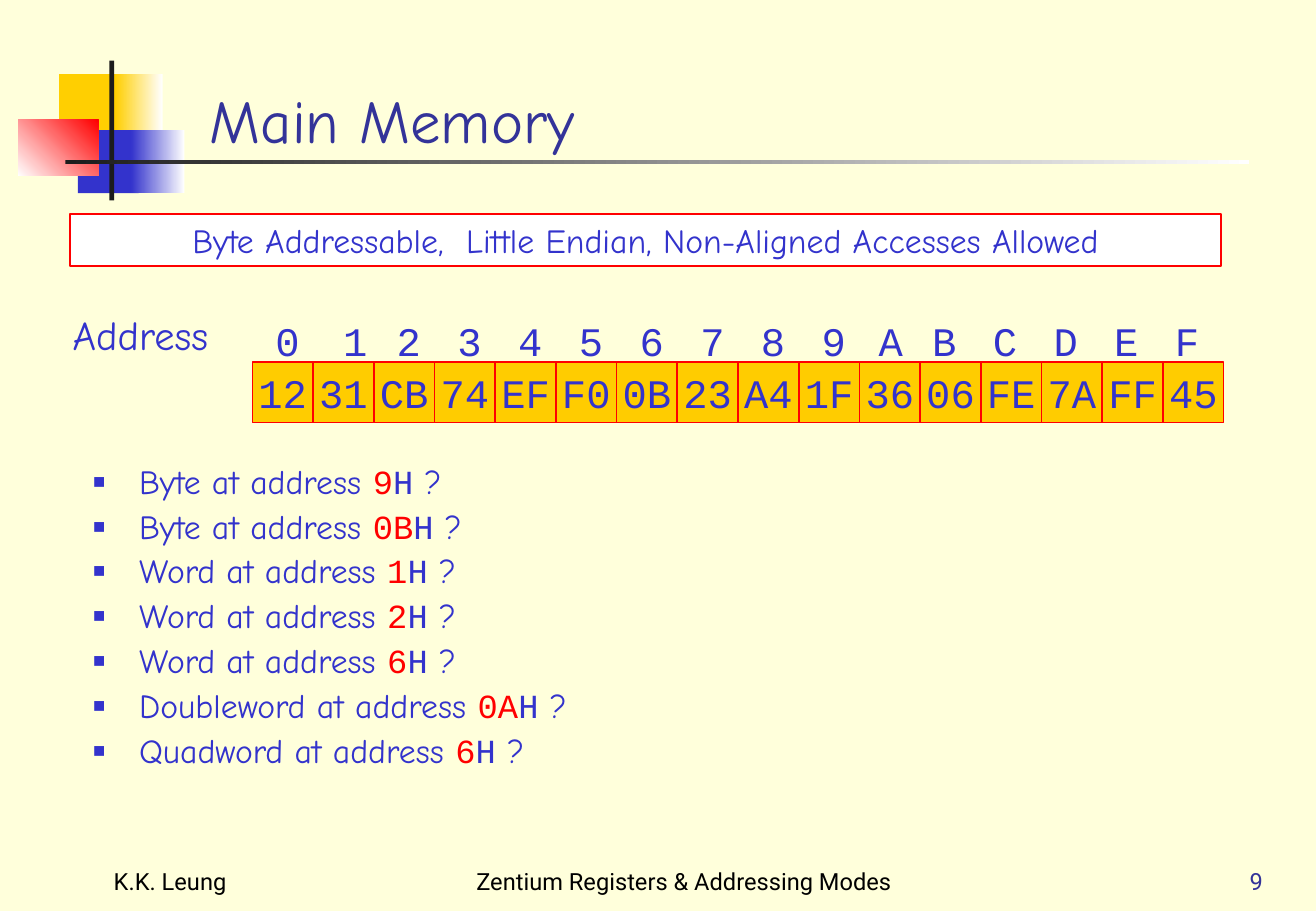
from lxml import etree
from pptx import Presentation
from pptx.dml.color import RGBColor
from pptx.enum import shapes, text
from pptx.oxml import ns
from pptx.util import Cm, Pt

THEME = {
    "cream": RGBColor.from_string("FFFFDB"),
    "gold": RGBColor.from_string("FFCF01"),
    "cell": RGBColor.from_string("FFCC00"),
    "blue": RGBColor.from_string("3333CC"),
    "navy": RGBColor.from_string("333399"),
    "red": RGBColor.from_string("FF0000"),
    "ink": RGBColor.from_string("1C1C1C"),
    "black": RGBColor.from_string("000000"),
    "white": RGBColor.from_string("FFFFFF"),
    "sans": "Comic Neue",
    "mono": "Courier New",
    "footer_font": "Roboto",
    "title": Pt(36),
    "label": Pt(24),
    "body": Pt(20),
    "footer": Pt(14),
}
LEFT, CENTER, RIGHT = text.PP_ALIGN.LEFT, text.PP_ALIGN.CENTER, text.PP_ALIGN.RIGHT
TOP, MIDDLE, BOTTOM = text.MSO_ANCHOR.TOP, text.MSO_ANCHOR.MIDDLE, text.MSO_ANCHOR.BOTTOM

prs = Presentation()
prs.slide_width, prs.slide_height = Cm(27.53), Cm(19.05)
s = prs.slides.add_slide(prs.slide_layouts[6])
s.background.fill.solid()
s.background.fill.fore_color.rgb = THEME["cream"]


def add_rect(box, colors, angle=0, outline=None):
    sp = s.shapes.add_shape(shapes.MSO_SHAPE.RECTANGLE, *map(Cm, box))
    sp.shadow.inherit = False
    if len(colors) == 1:
        sp.fill.solid()
        sp.fill.fore_color.rgb = THEME[colors[0]]
    else:
        sp.fill.gradient()
        sp.fill.gradient_angle = angle
        for stop, color, position in zip(sp.fill.gradient_stops, colors, (0, 1)):
            stop.color.rgb = THEME[color]
            stop.position = position
    if outline:
        sp.line.color.rgb = THEME[outline]
        sp.line.width = Pt(1)
    else:
        sp.line.fill.background()
    return sp


def write(sp, lines, size, align=LEFT, anchor=TOP, wrap=True):
    tf = sp.text_frame
    frame_format = {"word_wrap": wrap, "vertical_anchor": anchor}
    for name, value in frame_format.items():
        setattr(tf, name, value)
    for i, runs in enumerate(lines):
        p = tf.add_paragraph() if i else tf.paragraphs[0]
        p.alignment = align
        for words, font, color in runs:
            r = p.add_run()
            r.text = words
            r.font.color.rgb = THEME[color]
            for name, value in {"size": THEME[size], "name": THEME[font]}.items():
                setattr(r.font, name, value)
    return tf


emblem = [
    ((1.24, 1.55, 1.32, 1.32), ["gold"], 0),
    ((2.41, 1.55, 0.99, 1.32), ["gold", "white"], 0),
    ((1.63, 2.72, 1.27, 1.32), ["blue"], 0),
    ((2.74, 2.72, 1.12, 1.32), ["blue", "white"], 0),
    ((0.38, 2.51, 1.68, 1.17), ["white", "red"], 45),
    ((2.29, 1.27, 0.1, 2.92), ["ink"], 0),
    ((1.37, 3.35, 24.77, 0.08), ["ink", "white"], 0),
]
for box, colors, angle in emblem:
    add_rect(box, colors, angle)

labels = [
    ((2.13, 17.58, 5.74, 1.27), "K.K. Leung", "footer_font", "black", "footer", LEFT, BOTTOM),
    ((9.19, 17.58, 10.24, 1.27), "Zentium Registers & Addressing Modes",
     "footer_font", "black", "footer", CENTER, BOTTOM),
    ((20.93, 17.58, 5.74, 1.27), "9", "footer_font", "navy", "footer", RIGHT, BOTTOM),
    ((4.14, 0.2, 23.39, 3.18), "Main Memory", "sans", "navy", "title", LEFT, BOTTOM),
    ((1.27, 6.35, 4.01, 1.27), "Address", "sans", "blue", "label", LEFT, TOP),
]
for box, words, font, color, size, align, anchor in labels:
    sp = s.shapes.add_textbox(*map(Cm, box))
    write(sp, [[(words, font, color)]], size, align, anchor)

banner = add_rect((1.47, 4.47, 24.08, 1.09), ["white"], outline="red")
rule = "Byte Addressable,  Little Endian, Non-Aligned Accesses Allowed"
write(banner, [[(rule, "sans", "blue")]], "body", CENTER)

PITCH = 1.27
memory = "12 31 CB 74 EF F0 0B 23 A4 1F 36 06 FE 7A FF 45".split()
nudges = {"1": 0.15, "A": -0.08, **dict.fromkeys("BCDEF", -0.23)}
for i, byte in enumerate(memory):
    cell = add_rect((5.28 + i * PITCH, 7.57, PITCH, PITCH), ["cell"], outline="red")
    write(cell, [[(byte, "mono", "blue")]], "label", CENTER, MIDDLE, False)
    address = f"{i:X}"
    left = 5.51 + i * PITCH + nudges.get(address, 0)
    sp = s.shapes.add_textbox(Cm(left), Cm(6.48), Cm(1.02), Cm(PITCH))
    write(sp, [[(address, "mono", "blue")]], "label", wrap=False)

questions = [
    ("Byte", "9"), ("Byte", "0B"), ("Word", "1"), ("Word", "2"),
    ("Word", "6"), ("Doubleword", "0A"), ("Quadword", "6"),
]
lines = [
    [(f"{unit} at address ", "sans", "blue"), (address, "mono", "red"),
     ("H", "mono", "blue"), (" ?", "sans", "blue")]
    for unit, address in questions
]
sp = s.shapes.add_textbox(Cm(1.7), Cm(9.6), Cm(14.96), Cm(7.92))
tf = write(sp, lines, "body")
for p in tf.paragraphs:
    for name, value in {"line_spacing": 0.9, "space_before": Pt(5)}.items():
        setattr(p, name, value)
    pPr = p._p.get_or_add_pPr()
    pPr.set("marL", str(Cm(0.96)))
    pPr.set("indent", str(Cm(-0.96)))
    bullet_color = etree.SubElement(pPr, ns.qn("a:buClr"))
    etree.SubElement(bullet_color, ns.qn("a:srgbClr"), val=str(THEME["blue"]))
    etree.SubElement(pPr, ns.qn("a:buSzPct"), val="60000")
    etree.SubElement(pPr, ns.qn("a:buFont"), typeface="Arial")
    etree.SubElement(pPr, ns.qn("a:buChar"), char="■")

prs.save("out.pptx")
